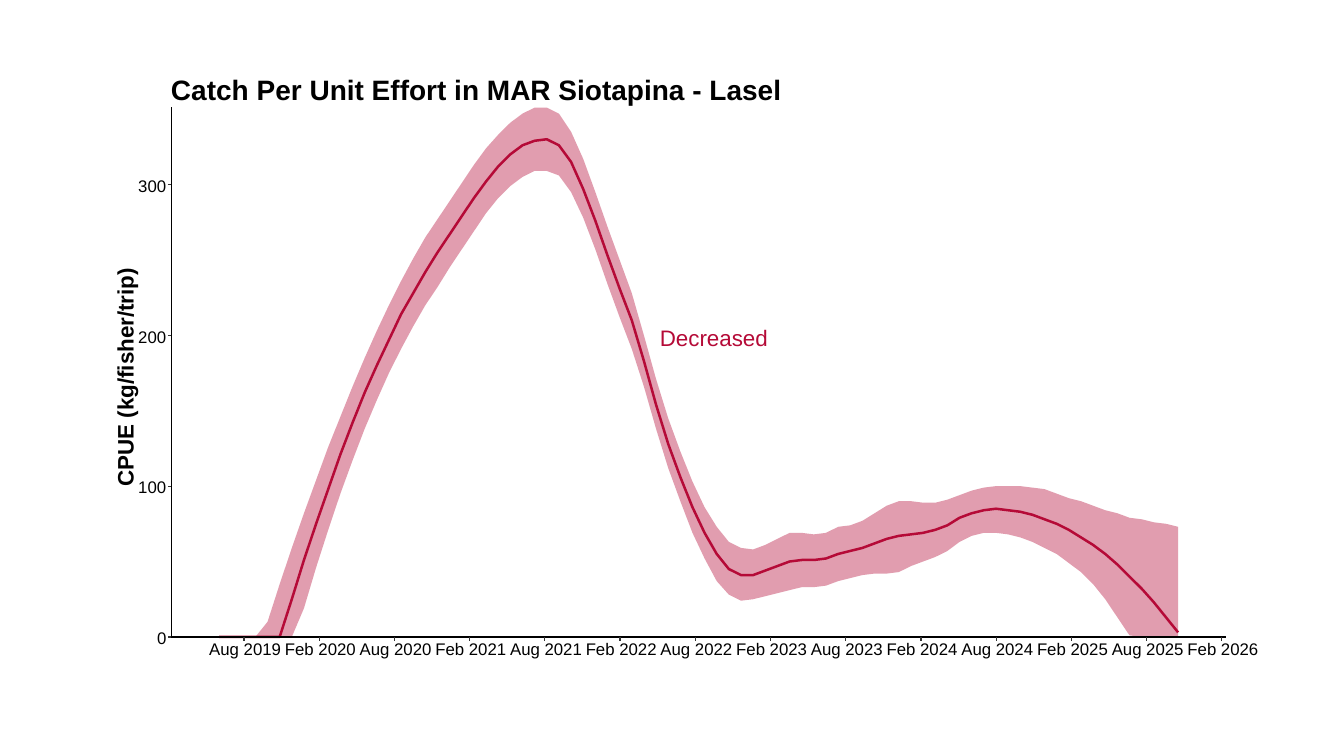
"""Build the catch per unit effort slide for MAR Siotapina - Lasel."""
from lxml import etree
from pptx import Presentation
from pptx.dml.color import RGBColor
from pptx.enum.shapes import MSO_CONNECTOR
from pptx.enum.text import PP_ALIGN
from pptx.oxml.ns import qn
from pptx.util import Cm, Pt

STRAIGHT = MSO_CONNECTOR.STRAIGHT
LEFT, CENTER, RIGHT = PP_ALIGN.LEFT, PP_ALIGN.CENTER, PP_ALIGN.RIGHT

CRIMSON, BLACK, GREY = "B50A37", "000000", "333333"
AXIS_LEFT, AXIS_RIGHT = 4.32, 30.89
AXIS_TOP, AXIS_BASE = 2.69, 16.05
CURVE_LEFT, CURVE_RIGHT = 5.52, 29.69
FIRST_TICK, LAST_TICK = 6.15, 30.79
TICK_LENGTH = 0.09
CM_PER_CPUE = 0.038
LABEL_HEIGHT, DATE_WIDTH = 0.76, 2.33

DATES = [f"{month} {year}" for year in range(2019, 2027)
         for month in ("Feb", "Aug")][1:-1]

MEAN = [0] * 6 + [
    25, 51, 75, 98, 121, 142, 162, 180, 197, 214,
    228, 242, 255, 267, 279, 291, 302, 312, 320, 326,
    329, 330, 326, 315, 297, 276, 253, 231, 210, 183,
    154, 128, 106, 86, 69, 55, 45, 41, 41, 44,
    47, 50, 51, 51, 52, 55, 57, 59, 62, 65,
    67, 68, 69, 71, 74, 79, 82, 84, 85, 84,
    83, 81, 78, 75, 71, 66, 61, 55, 48, 40,
    32, 23, 13, 3]
UPPER = [0] * 4 + [
    10, 35, 59, 82, 104, 126, 146, 166, 185, 203,
    220, 236, 251, 265, 277, 289, 301, 313, 324, 333,
    341, 347, 351, 351, 347, 335, 317, 295, 272, 250,
    228, 200, 171, 145, 123, 103, 86, 73, 63, 59,
    58, 61, 65, 69, 69, 68, 69, 73, 74, 77,
    82, 87, 90, 90, 89, 89, 91, 94, 97, 99,
    100, 100, 100, 99, 98, 95, 92, 90, 87, 84,
    82, 79, 78, 76, 75, 73]
LOWER = [0] * 7 + [
    19, 46, 71, 95, 117, 138, 157, 175, 191, 206,
    220, 232, 245, 257, 269, 281, 291, 299, 305, 309,
    309, 306, 295, 278, 257, 234, 212, 191, 166, 138,
    112, 90, 69, 52, 37, 28, 24, 25, 27, 29,
    31, 33, 33, 34, 37, 39, 41, 42, 42, 43,
    47, 50, 53, 57, 63, 67, 69, 69, 68, 66,
    63, 59, 55, 49, 43, 35, 25, 13, 1] + [0] * 4


def color(value):
    """Return the colour for a hex string."""
    return RGBColor.from_string(value)


def height_of(cpue):
    """Return the vertical position in centimetres of a CPUE value."""
    return AXIS_BASE - cpue * CM_PER_CPUE


def curve_points(values):
    """Return evenly spaced points for a series of CPUE values."""
    step = (CURVE_RIGHT - CURVE_LEFT) / (len(values) - 1)
    return [(Cm(CURVE_LEFT + index * step), Cm(height_of(value)))
            for index, value in enumerate(values)]


def add_outline(shapes, points, close):
    """Add a freeform through the points, without a shadow."""
    builder = shapes.build_freeform(*points[0])
    builder.add_line_segments(points[1:], close=close)
    outline = builder.convert_to_shape()
    outline.shadow.inherit = False
    return outline


def add_band(shapes, upper, lower):
    """Add the translucent band between two series."""
    points = curve_points(upper) + curve_points(lower)[::-1]
    band = add_outline(shapes, points, close=True)
    band.fill.solid()
    band.fill.fore_color.rgb = color(CRIMSON)
    tint = band.fill._xPr.find(qn("a:solidFill"))[0]
    etree.SubElement(tint, qn("a:alpha"), val="40000")
    band.line.fill.background()


def add_curve(shapes, values):
    """Add the line of a series."""
    curve = add_outline(shapes, curve_points(values), close=False)
    curve.fill.background()
    curve.line.color.rgb = color(CRIMSON)
    curve.line.width = Pt(1.78)


def add_line(shapes, start, end, tint):
    """Add a thin straight line between two points in centimetres."""
    line = shapes.add_connector(STRAIGHT, *map(Cm, start + end))
    line.line.color.rgb = color(tint)
    line.line.width = Pt(0.89)
    etree.SubElement(line._element.spPr, qn("a:effectLst"))


def add_text(shapes, text, left, top, width, height, size=12, tint=BLACK,
             bold=False, align=LEFT, rotation=0):
    """Add a one-line text box and format its text."""
    box = shapes.add_textbox(Cm(left), Cm(top), Cm(width), Cm(height))
    box.rotation = rotation
    box.text_frame.word_wrap = False
    para = box.text_frame.paragraphs[0]
    para.alignment = align
    span = para.add_run()
    span.text = text
    span.font.name = "Arial"
    span.font.size = Pt(size)
    span.font.bold = bold
    span.font.color.rgb = color(tint)


def add_cpue_axis(shapes):
    """Add the vertical axis with its ticks and labels."""
    add_line(shapes, (AXIS_LEFT, AXIS_BASE), (AXIS_LEFT, AXIS_TOP), BLACK)
    for cpue in range(0, 400, 100):
        label, level = str(cpue), height_of(cpue)
        width = 0.49 + 0.24 * len(label)
        add_text(shapes, label, AXIS_LEFT + 0.12 - width,
                 level - LABEL_HEIGHT / 2 + 0.03, width, LABEL_HEIGHT,
                 align=RIGHT)
        add_line(shapes, (AXIS_LEFT - TICK_LENGTH, level),
                 (AXIS_LEFT, level), GREY)


def add_date_axis(shapes):
    """Add the horizontal axis with its ticks and labels."""
    add_line(shapes, (AXIS_LEFT, AXIS_BASE), (AXIS_RIGHT, AXIS_BASE), BLACK)
    gap = (LAST_TICK - FIRST_TICK) / (len(DATES) - 1)
    for index, date in enumerate(DATES):
        tick = FIRST_TICK + index * gap
        add_line(shapes, (tick, AXIS_BASE + TICK_LENGTH),
                 (tick, AXIS_BASE), GREY)
        add_text(shapes, date, tick - DATE_WIDTH / 2 + 0.03, 15.98,
                 DATE_WIDTH, LABEL_HEIGHT, align=CENTER)


def main():
    """Build the slide and save the deck."""
    deck = Presentation()
    deck.slide_width, deck.slide_height = Cm(33.87), Cm(19.05)
    page = deck.slides.add_slide(deck.slide_layouts[6])
    plot = page.shapes.add_group_shape().shapes
    add_band(plot, UPPER, LOWER)
    add_curve(plot, MEAN)
    add_text(plot, "Decreased", 16.38, 8.05, 3.28, 0.94,
             size=16, tint=CRIMSON)
    add_cpue_axis(plot)
    add_date_axis(plot)
    add_text(plot, "CPUE (kg/fisher/trip)", 0.1, 8.99, 6.1, 0.94,
             size=16, bold=True, rotation=270)
    add_text(plot, "Catch Per Unit Effort in MAR Siotapina - Lasel",
             4.06, 1.7, 16, 1.12, size=20, bold=True)
    deck.save("out.pptx")


if __name__ == "__main__":
    main()
